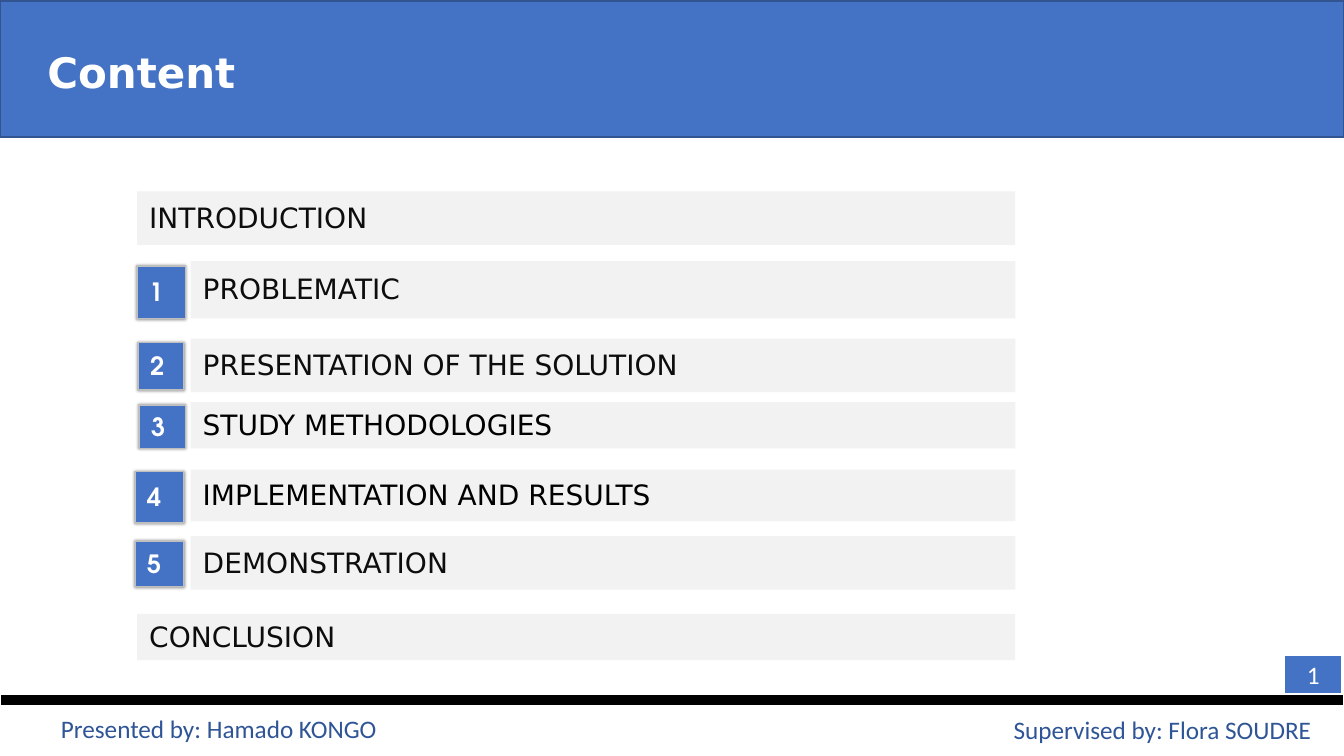
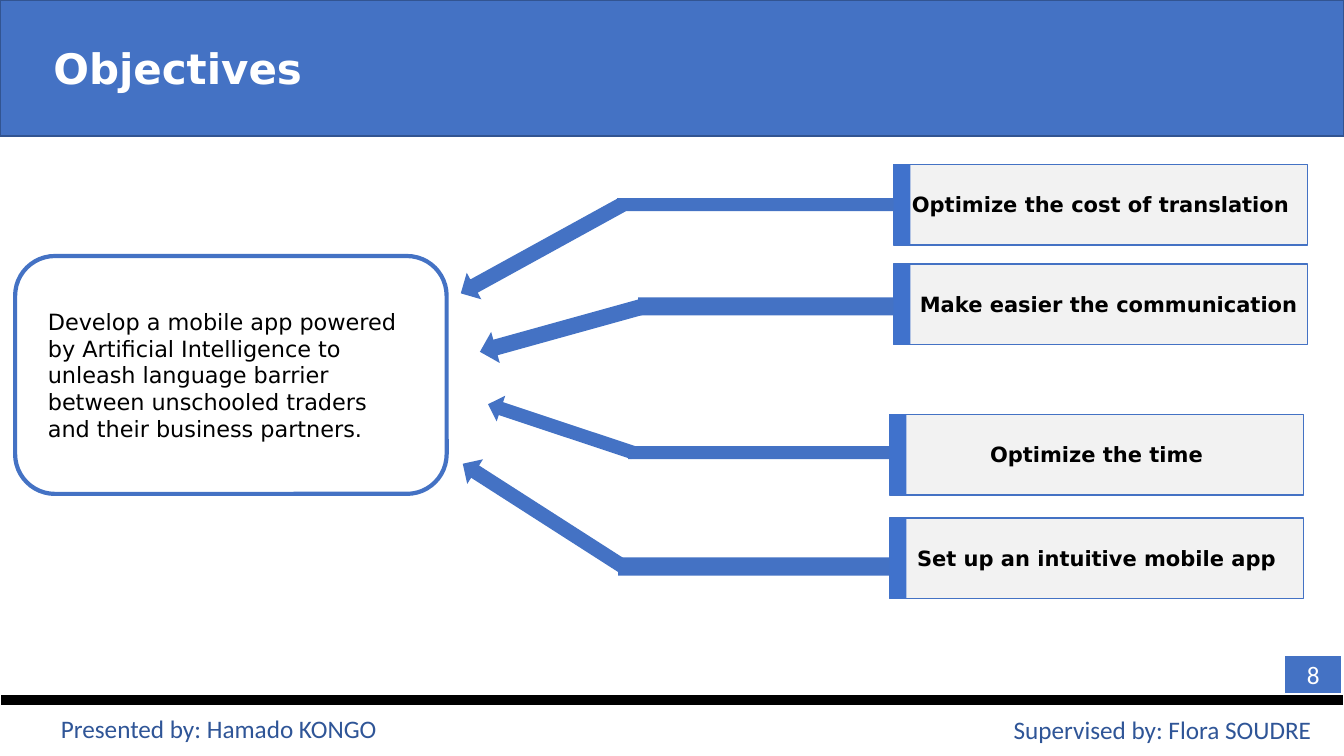
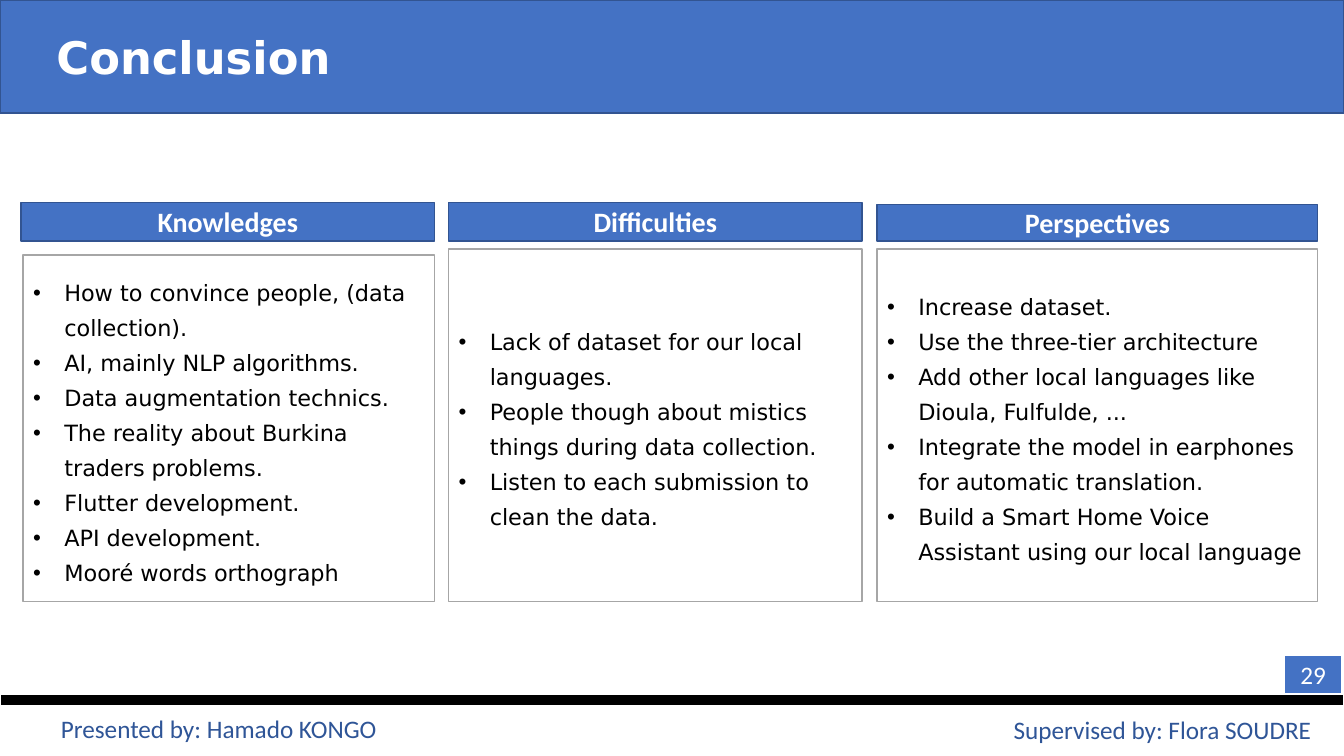
from math import atan2, degrees, hypot

from lxml.etree import SubElement
from pptx import Presentation
from pptx.dml.color import RGBColor
from pptx.enum.shapes import MSO_SHAPE as Preset
from pptx.enum.text import MSO_ANCHOR as Anchor, PP_ALIGN as Align
from pptx.oxml.ns import qn
from pptx.util import Inches, Pt

# Shared look
BLUE, EDGE, ACCENT, NAVY = "4472C4", "325491", "4072CC", "2F5597"
WHITE, BLACK, INK = "FFFFFF", "000000", "0D0D0D"
PALE, SILVER, GREY = "F2F2F2", "BFBFBF", "A6A6A6"
BODY, PLAIN, ROUND = "DejaVu Sans", "Calibri", "TeX Gyre Adventor"
WIDTH, HEIGHT = 13.33, 7.5
INSETS = (0.1, 0.05, 0.1, 0.05)  # left, top, right, bottom
ROW_INSETS = (0.12, 0.06, 0.08, 0.04)


def rgb(value):
    return RGBColor.from_string(value)


# Element builders
def box(slide, left, top, width, height, fill, line=None, weight=1, preset=Preset.RECTANGLE):
    shape = slide.shapes.add_shape(preset, *map(Inches, (left, top, width, height)))
    shape.shadow.inherit = False
    shape.fill.solid()
    shape.fill.fore_color.rgb = rgb(fill)
    if line:
        shape.line.color.rgb = rgb(line)
        shape.line.width = Pt(weight)
    else:
        shape.line.fill.background()
    return shape


def write(shape, lines, size, color, font=BODY, bold=False, align=Align.LEFT,
          anchor=Anchor.MIDDLE, insets=INSETS):
    frame = shape.text_frame
    frame.word_wrap = True
    frame.vertical_anchor = anchor
    (frame.margin_left, frame.margin_top,
     frame.margin_right, frame.margin_bottom) = map(Inches, insets)
    for index, line in enumerate(lines):
        paragraph = frame.add_paragraph() if index else frame.paragraphs[0]
        paragraph.alignment = align
        run = paragraph.add_run()
        run.text = line
        run.font.name = font
        run.font.size = Pt(size)
        run.font.bold = bold
        run.font.color.rgb = rgb(color)
    return frame.paragraphs


def bullet(paragraph, indent=0.31):
    paragraph.line_spacing = Pt(25)
    props = paragraph._p.get_or_add_pPr()
    props.set("marL", str(Inches(indent)))
    props.set("indent", str(-Inches(indent)))
    SubElement(props, qn("a:buFont"), typeface="Arial")
    SubElement(props, qn("a:buChar"), char="•")


def soft_shadow(shape):
    effects = shape._element.spPr.find(qn("a:effectLst"))
    shadow = SubElement(effects, qn("a:outerShdw"), blurRad=str(Pt(2)), dist="0", dir="0")
    tint = SubElement(shadow, qn("a:srgbClr"), val=BLACK)
    SubElement(tint, qn("a:alpha"), val="40000")


def block_arrow(slide, start, tip, thickness):
    (x1, y1), (x2, y2) = start, tip
    length = hypot(x2 - x1, y2 - y1)
    arrow = box(slide, (x1 + x2 - length) / 2, (y1 + y2 - thickness) / 2,
                length, thickness, BLUE, preset=Preset.RIGHT_ARROW)
    arrow.rotation = degrees(atan2(y2 - y1, x2 - x1)) % 360


def framed_slide(deck, title, number, title_size=30, band_height=1.35,
                 band_top=0, title_insets=(0.53, 0.05, 0.1, 0.05)):
    slide = deck.slides.add_slide(deck.slide_layouts[6])
    band = box(slide, 0, band_top, WIDTH, band_height, BLUE, EDGE)
    write(band, [title], title_size, WHITE, bold=True, insets=title_insets)
    # Footer
    box(slide, 0, 6.88, WIDTH, 0.13, BLACK, WHITE, 1.5)
    for left, top, credit in ((0.02, 7.03, "Presented by: Hamado KONGO"),
                              (9.38, 7.04, "Supervised by: Flora SOUDRE")):
        footer = slide.shapes.add_textbox(*map(Inches, (left, top, 4.3, 0.4)))
        write(footer, [credit], 18, NAVY, PLAIN, align=Align.CENTER, anchor=Anchor.TOP)
    page = box(slide, 12.74, 6.5, 0.57, 0.38, BLUE, WHITE)
    write(page, [number], 18, WHITE, PLAIN, align=Align.CENTER)
    return slide


# Content slide
def agenda_text(shape, text, size, color, font=BODY, bold=False):
    for paragraph in write(shape, [text], size, color, font, bold, insets=ROW_INSETS):
        paragraph.line_spacing = 0.9
        paragraph.space_before = paragraph.space_after = Pt(4.9)


def content_slide(deck):
    slide = framed_slide(deck, "Content", "1", band_top=0.01,
                         title_insets=(0.47, 0.11, 0.1, 0.05))
    # label, top, height, colour, badge left, top, width, height
    rows = [
        ("INTRODUCTION", 1.9, 0.53, INK, None),
        ("PROBLEMATIC", 2.59, 0.57, INK, (1.36, 2.64, 0.48, 0.52)),
        ("PRESENTATION OF THE SOLUTION", 3.36, 0.53, INK, (1.37, 3.4, 0.45, 0.47)),
        ("STUDY METHODOLOGIES", 3.99, 0.46, BLACK, (1.38, 4.02, 0.46, 0.43)),
        ("IMPLEMENTATION AND RESULTS", 4.66, 0.51, BLACK, (1.34, 4.68, 0.48, 0.51)),
        ("DEMONSTRATION", 5.32, 0.53, INK, (1.34, 5.37, 0.48, 0.45)),
        ("CONCLUSION", 6.09, 0.46, INK, None),
    ]
    for number, (label, top, height, color, badge_area) in enumerate(rows):
        left = 1.89 if badge_area else 1.36
        row = box(slide, left, top, 10.07 - left, height, PALE)
        agenda_text(row, label, 20, color)
        if badge_area:
            badge = box(slide, *badge_area, BLUE, SILVER)
            soft_shadow(badge)
            agenda_text(badge, str(number), 18, WHITE, ROUND, True)


# Objectives slide
def objectives_slide(deck):
    slide = framed_slide(deck, "Objectives", "8")
    goal = box(slide, 0.15, 2.54, 4.28, 2.36, WHITE, BLUE, 3, Preset.ROUNDED_RECTANGLE)
    write(goal, ["Develop a mobile app powered by Artificial Intelligence to unleash "
                 "language barrier between unschooled traders and their business partners."],
          16, BLACK, insets=(0.21, 0.05, 0.21, 0.05))
    # label, left, top, text inset, bend, tip, bar and arrow thickness
    objectives = [
        ("Optimize the cost of translation", 8.86, 1.63, 0.1,
         (6.17, 2.03), (4.57, 2.91), 0.13, 0.3),
        ("Make easier the communication", 8.86, 2.62, 0.26,
         (6.38, 3.04), (4.76, 3.49), 0.18, 0.32),
        ("Optimize the time", 8.82, 4.11, 0.1,
         (6.28, 4.49), (4.84, 4.01), 0.13, 0.27),
        ("Set up an intuitive mobile app", 8.82, 5.14, 0.1,
         (6.18, 5.62), (4.59, 4.6), 0.18, 0.29),
    ]
    for label, left, top, inset, bend, tip, bar, arrow in objectives:
        card = box(slide, left, top, 4.11, 0.8, PALE, BLUE)
        write(card, [label], 15, BLACK, bold=True, align=Align.CENTER,
              insets=(inset, 0.05, 0.1, 0.05))
        box(slide, left, top, 0.17, 0.8, ACCENT)
        block_arrow(slide, bend, tip, arrow)
        bar_left = bend[0] - 0.05
        box(slide, bar_left, bend[1] - bar / 2, left - bar_left, bar, BLUE)


# Conclusion slide
def conclusion_slide(deck):
    slide = framed_slide(deck, "Conclusion", "29", 32, 1.12,
                         title_insets=(0.56, 0.05, 0.1, 0.05))
    # heading, its left, top and width, panel left and top, points
    columns = [
        ("Knowledges", 0.21, 2.01, 4.1, 0.23, 2.53, [
            "How to convince people, (data collection).",
            "AI, mainly NLP algorithms.",
            "Data augmentation technics.",
            "The reality about Burkina traders problems.",
            "Flutter development.",
            "API development.",
            "Mooré words orthograph",
        ]),
        ("Difficulties", 4.45, 2.01, 4.1, 4.45, 2.47, [
            "Lack of dataset for our local languages.",
            "People though about mistics things during data collection.",
            "Listen to each submission to clean the data.",
        ]),
        ("Perspectives", 8.7, 2.03, 4.37, 8.7, 2.47, [
            "Increase dataset.",
            "Use the three-tier architecture",
            "Add other local languages like Dioula, Fulfulde, ...",
            "Integrate the model in earphones for automatic translation.",
            "Build a Smart Home Voice Assistant using our local language",
        ]),
    ]
    for heading, left, top, width, panel_left, panel_top, points in columns:
        header = box(slide, left, top, width, 2.39 - top, BLUE, EDGE)
        write(header, [heading], 20, WHITE, PLAIN, True, Align.CENTER)
        panel = box(slide, panel_left, panel_top, left + width - panel_left,
                    5.97 - panel_top, WHITE, GREY)
        for point in write(panel, points, 16, BLACK):
            bullet(point)


def main():
    deck = Presentation()
    deck.slide_width, deck.slide_height = Inches(WIDTH), Inches(HEIGHT)
    content_slide(deck)
    objectives_slide(deck)
    conclusion_slide(deck)
    deck.save("out.pptx")


if __name__ == "__main__":
    main()
